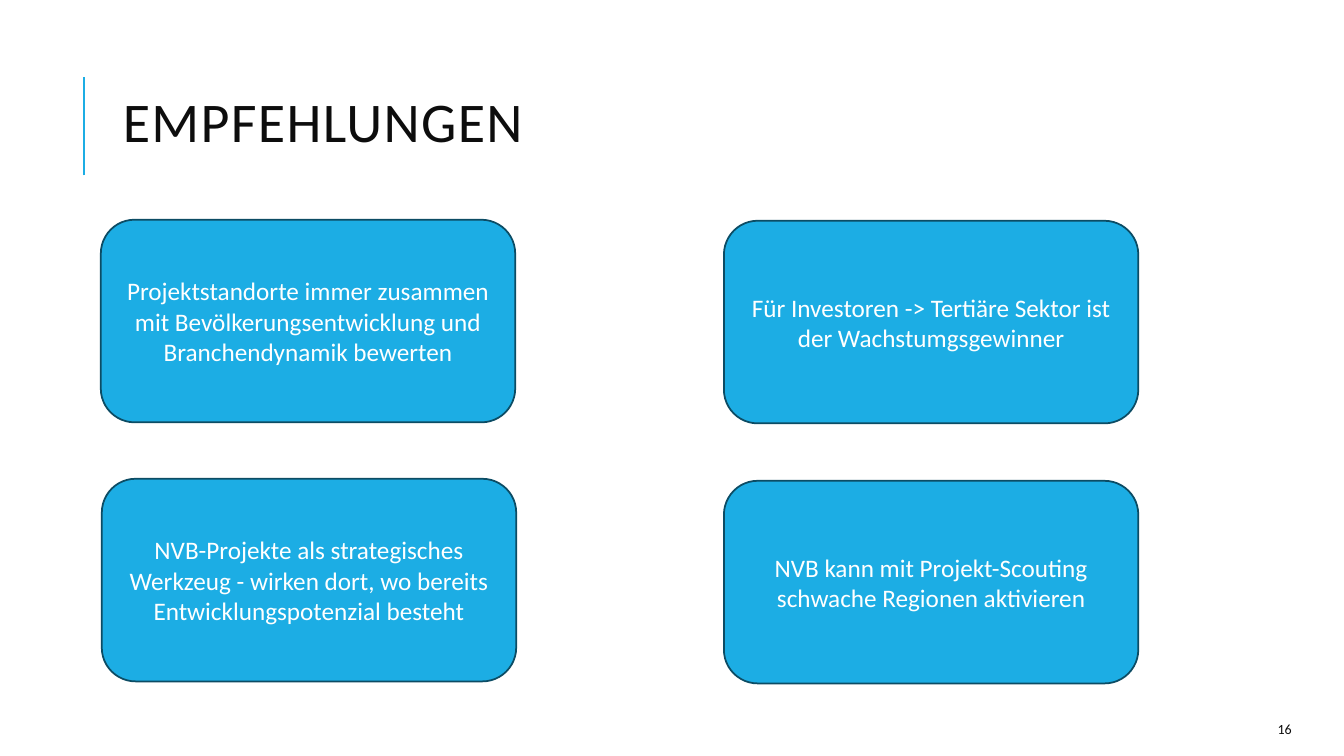
"""Build the slide with four recommendations."""
from lxml.etree import SubElement
from pptx import Presentation
from pptx.dml.color import RGBColor
from pptx.enum.shapes import MSO_CONNECTOR as Link, MSO_SHAPE as Shape
from pptx.enum.text import MSO_ANCHOR as Anchor, PP_ALIGN as Align
from pptx.oxml.ns import qn
from pptx.util import Inches, Pt

BLUE = RGBColor(0x1C, 0xAD, 0xE4)
NAVY = RGBColor(0x0C, 0x4C, 0x64)
INK = RGBColor(0x0D, 0x0D, 0x0D)
WHITE = RGBColor(0xFF, 0xFF, 0xFF)
FONT = "Calibri"

CARDS = [
    (1, 2.18, "Projektstandorte immer zusammen mit Bevölkerungsentwicklung und Branchendynamik bewerten"),
    (7.18, 2.19, "Für Investoren -> Tertiäre Sektor ist der Wachstumgsgewinner"),
    (1.01, 4.75, "NVB-Projekte als strategisches Werkzeug - wirken dort, wo bereits Entwicklungspotenzial besteht"),
    (7.18, 4.77, "NVB kann mit Projekt-Scouting schwache Regionen aktivieren"),
]


def write(shape, text, size, color=INK, align=Align.LEFT, lead=None, track=None):
    frame = shape.text_frame
    frame.word_wrap = True
    frame.vertical_anchor = Anchor.MIDDLE
    para = frame.paragraphs[0]
    para.alignment = align
    if lead:
        para.line_spacing = lead
    run = para.add_run()
    run.text = text
    run.font.name = FONT
    run.font.size = Pt(size)
    run.font.color.rgb = color
    if track:
        run.font._element.set("spc", str(track))


def add_title(slide, left, top, width, height):
    rule = slide.shapes.add_connector(
        Link.STRAIGHT, Inches(left), Inches(top + height), Inches(left), Inches(top))
    rule.line.color.rgb = BLUE
    rule.line.width = Pt(1.5)
    SubElement(rule._element.spPr, qn("a:effectLst"))
    inset = 0.29
    box = slide.shapes.add_textbox(
        Inches(left + inset), Inches(top), Inches(width - inset), Inches(height))
    write(box, "EMPFEHLUNGEN", 40, lead=0.8, track=100)


def add_card(slide, left, top, width, height, text):
    card = slide.shapes.add_shape(
        Shape.ROUNDED_RECTANGLE, Inches(left), Inches(top), Inches(width), Inches(height))
    card.shadow.inherit = False
    card.fill.solid()
    card.fill.fore_color.rgb = BLUE
    card.line.color.rgb = NAVY
    card.line.width = Pt(1.25)
    write(card, text, 18, color=WHITE, align=Align.CENTER)


def add_number(slide, left, top, width, height):
    box = slide.shapes.add_textbox(
        Inches(left), Inches(top), Inches(width), Inches(height))
    write(box, "16", 10, align=Align.RIGHT)


def main():
    deck = Presentation()
    deck.slide_width = Inches(13.33)
    deck.slide_height = Inches(7.5)
    slide = deck.slides.add_slide(deck.slide_layouts[6])
    add_title(slide, 0.83, 0.76, 12.09, 0.98)
    for left, top, text in CARDS:
        add_card(slide, left, top, 4.11, 2.01, text)
    add_number(slide, 11.85, 7.08, 1.06, 0.3)
    deck.save("out.pptx")


if __name__ == "__main__":
    main()
